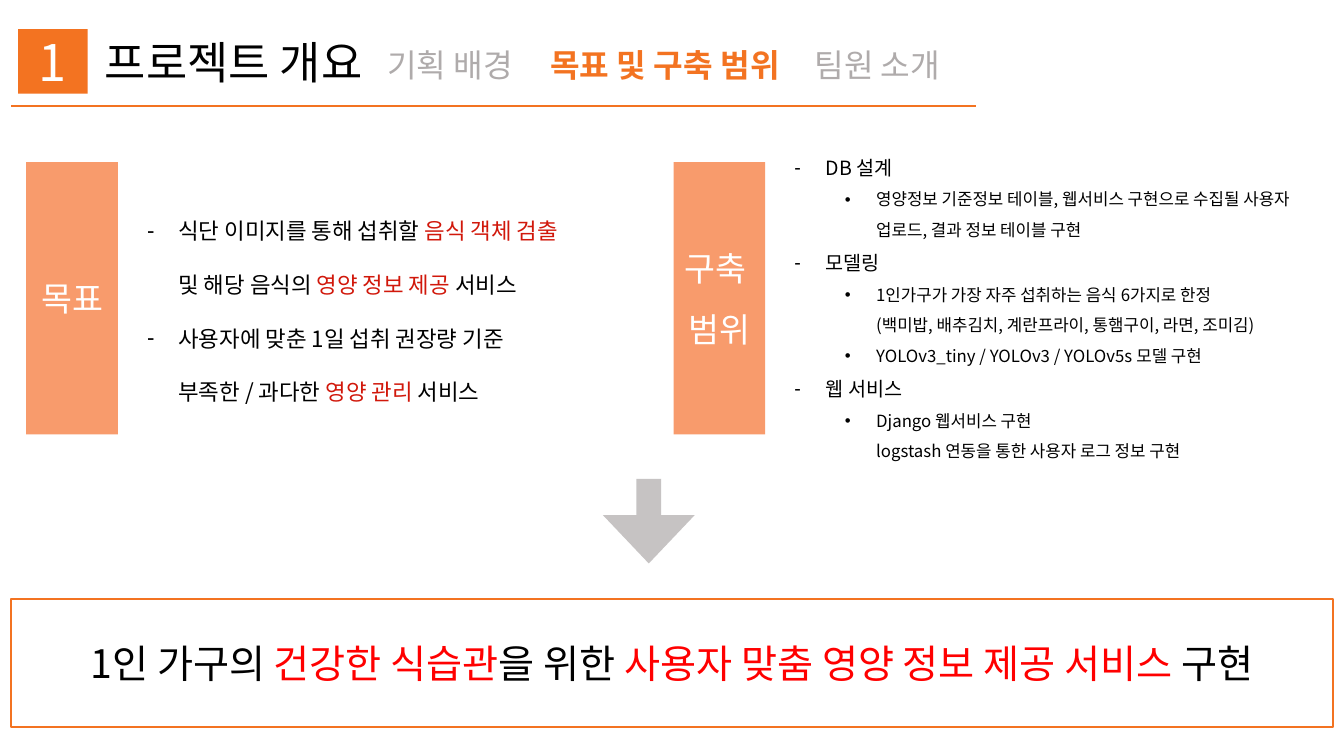
"""Build the project overview slide on goals and scope."""
from lxml import etree
from pptx import Presentation
from pptx.dml.color import RGBColor
from pptx.enum.shapes import MSO_CONNECTOR, MSO_SHAPE
from pptx.enum.text import MSO_ANCHOR, MSO_AUTO_SIZE, PP_ALIGN
from pptx.oxml.ns import qn
from pptx.util import Inches, Pt

LEFT, CENTER = PP_ALIGN.LEFT, PP_ALIGN.CENTER
TOP, MIDDLE = MSO_ANCHOR.TOP, MSO_ANCHOR.MIDDLE
RECTANGLE, DOWN_ARROW = MSO_SHAPE.RECTANGLE, MSO_SHAPE.DOWN_ARROW
FONT = "Noto Sans CJK KR"
COLORS = {"black": "000000", "white": "FFFFFF", "orange": "F37321", "peach": "F89B6C",
          "gray": "AFABAB", "crimson": "D1180B", "red": "FF0000"}

TITLE = "프로젝트 개요"
TABS = [("기획 배경", 1.62, False), ("목표 및 구축 범위", 2.62, True), ("팀원 소개", 1.62, False)]
GOALS = [
    (0, 2, [("식단 이미지를 통해 섭취할 ", "black"), ("음식 객체 검출 \n", "crimson"),
            ("및 해당 음식의 ", "black"), ("영양 정보 제공 ", "crimson"), ("서비스", "black")]),
    (0, 2, [("사용자에 맞춘 1일 섭취 권장량 기준 \n부족한 / 과다한 ", "black"),
            ("영양 관리 ", "crimson"), ("서비스", "black")]),
]
SCOPE = [
    (0, 2, "DB 설계"),
    (1, 1.5, "영양정보 기준정보 테이블, 웹서비스 구현으로 수집될 사용자 \n업로드, 결과 정보 테이블 구현"),
    (0, 1.5, "모델링"),
    (1, 1.5, "1인가구가 가장 자주 섭취하는 음식 6가지로 한정\n"
             "(백미밥, 배추김치, 계란프라이, 통햄구이, 라면, 조미김)"),
    (1, 1.5, "YOLOv3_tiny / YOLOv3 / YOLOv5s 모델 구현"),
    (0, 1.5, "웹 서비스"),
    (1, 1.5, "Django 웹서비스 구현\nlogstash 연동을 통한 사용자 로그 정보 구현"),
]
PANELS = [
    ([(0, 1, "목표")], GOALS, (16,), 1.84, 2.18),
    ([(0, 1, "구축 "), (0, 1.5, "범위")], SCOPE, (14, 12), 1.26, 3.37),
]
CONCLUSION = [("1인 가구의 ", "black"), ("건강한 식습관", "red"), ("을 위한 ", "black"),
              ("사용자 맞춤 영양 정보 제공 서비스 ", "red"), ("구현", "black")]

MARGIN, COLUMN, HEADER_TOP, HEADER_HEIGHT = 0.11, 6.42, 0.29, 0.64
LABEL_LEFT, LABEL_WIDTH, LIST_LEFT, LIST_WIDTH = 0.26, 0.91, 1.36, 5.45
BULLETS, INDENTS, HANG = "-•", (0.31, 0.81), 0.31


def rgb(name):
    return RGBColor.from_string(COLORS[name])


def place(shape, left, top, width, height):
    shape.left, shape.top, shape.width, shape.height = map(Inches, (left, top, width, height))


def write(shape, lines, sizes, color="black", align=LEFT, anchor=TOP, bold=False, bullets=False):
    frame = shape.text_frame
    frame.word_wrap, frame.auto_size, frame.vertical_anchor = True, MSO_AUTO_SIZE.NONE, anchor
    for number, (level, spacing, content) in enumerate(lines):
        para = frame.add_paragraph() if number else frame.paragraphs[0]
        para.alignment, para.level, para.line_spacing = align, level, float(spacing)
        para.space_before = Pt(0)
        if bullets:
            properties = para._p.get_or_add_pPr()
            properties.set("marL", str(Inches(INDENTS[level])))
            properties.set("indent", str(-Inches(HANG)))
            etree.SubElement(properties, qn("a:buFont")).set("typeface", "Arial")
            etree.SubElement(properties, qn("a:buChar")).set("char", BULLETS[level])
        spans = [(content, color)] if isinstance(content, str) else content
        for text, span_color in spans:
            for row, piece in enumerate(text.split("\n")):
                if row:
                    para.add_line_break()
                if piece:
                    span = para.add_run()
                    span.text = piece
                    span.font.size, span.font.bold = Pt(sizes[level]), bold
                    span.font.color.rgb = rgb(span_color)
                    span.font.name = FONT
                    etree.SubElement(span.font._element, qn("a:ea")).set("typeface", FONT)


def add_block(slide, kind, bounds, fill, line=None):
    block = slide.shapes.add_shape(kind, *map(Inches, bounds))
    block.shadow.inherit = False
    block.fill.solid()
    block.fill.fore_color.rgb = rgb(fill)
    if line:
        block.line.color.rgb, block.line.width = rgb(line), Pt(1.25)
    else:
        block.line.fill.background()
    return block


def add_header(slide):
    title = slide.shapes.title
    place(title, 0.94, HEADER_TOP, 2.9, HEADER_HEIGHT)
    write(title, [(0, 1, TITLE)], (32,))
    left = 3.74
    for text, width, active in TABS:
        tab = slide.shapes.add_textbox(*map(Inches, (left, 0.4, width, 0.49)))
        write(tab, [(0, 1, text)], (23,), color="orange" if active else "gray", bold=active)
        left += width
    badge = add_block(slide, RECTANGLE, (0.18, HEADER_TOP, 0.69, HEADER_HEIGHT), "orange")
    write(badge, [(0, 1, "1")], (36,), color="white", align=CENTER, anchor=MIDDLE)
    rule = slide.shapes.add_connector(MSO_CONNECTOR.STRAIGHT,
                                      *map(Inches, (MARGIN, 1.05, 9.68, 1.05)))
    rule.line.color.rgb, rule.line.width = rgb("orange"), Pt(1.5)
    etree.SubElement(rule._element.spPr, qn("a:effectLst"))


def add_panels(slide):
    for column, (label, lines, sizes, top, height) in enumerate(PANELS):
        offset = column * COLUMN
        block = add_block(slide, RECTANGLE, (LABEL_LEFT + offset, 1.61, LABEL_WIDTH, 2.7), "peach")
        write(block, label, (24,), color="white", align=CENTER, anchor=MIDDLE)
        body = slide.placeholders[column + 1]
        place(body, LIST_LEFT + offset, top, LIST_WIDTH, height)
        write(body, lines, sizes, bullets=True)


def add_conclusion(slide, deck_width):
    arrow = add_block(slide, DOWN_ARROW, (5.98, 4.75, LABEL_WIDTH, 0.84), "gray")
    arrow.adjustments[0], arrow.adjustments[1] = 0.27, 0.57
    tint = arrow._element.spPr.find(qn("a:solidFill"))[0]
    etree.SubElement(tint, qn("a:alpha")).set("val", "71000")
    bounds = (MARGIN, 5.94, deck_width - 2 * MARGIN, 1.27)
    box = add_block(slide, RECTANGLE, bounds, "white", line="orange")
    write(box, [(0, 1, CONCLUSION)], (28,), align=CENTER, anchor=MIDDLE)


def main():
    deck = Presentation()
    deck.slide_width, deck.slide_height = Inches(13.33), Inches(7.5)
    slide = deck.slides.add_slide(deck.slide_layouts[3])
    add_header(slide)
    add_panels(slide)
    add_conclusion(slide, 13.33)
    deck.save("out.pptx")


if __name__ == "__main__":
    main()
